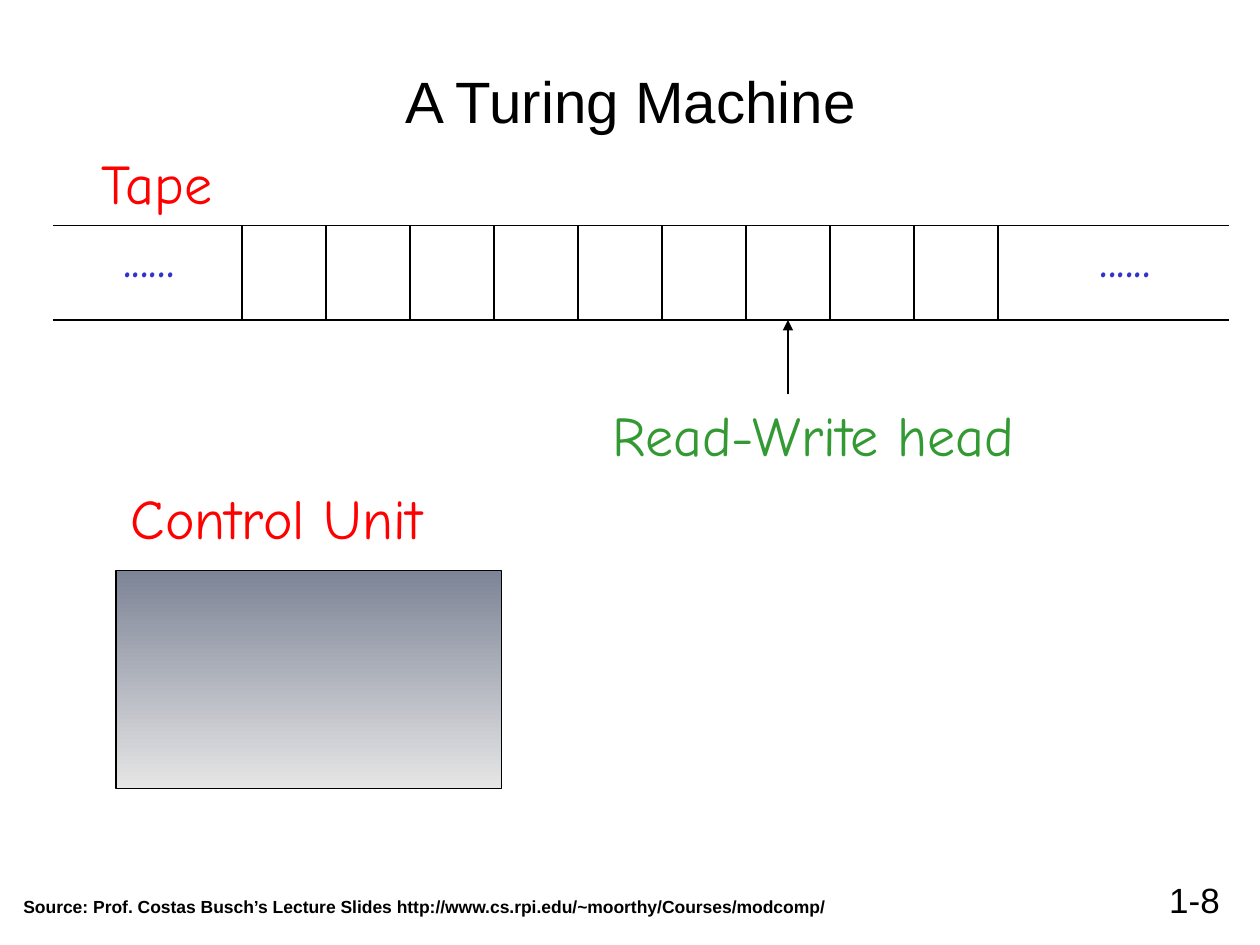
from lxml import etree
from pptx import Presentation, util as u
from pptx.dml.color import RGBColor
from pptx.enum import shapes as sh, text as tx
from pptx.oxml.ns import qn

INK = {"black": "000000", "red": "FF0000", "green": "339933",
       "blue": "3333CC", "top": "7D8496", "base": "E6E6E6"}
SANS, HAND = "Arial", "Comic Neue"
WIDE, HIGH = 10, 7.5


def tint(name):
    return RGBColor.from_string(INK[name])


def place(shape, box):
    shape.left, shape.top, shape.width, shape.height = map(u.Inches, box)


def write(shape, words, size, font, ink, align, bold=False):
    frame = shape.text_frame
    frame.text = words
    para = frame.paragraphs[0]
    para.alignment = align
    face = para.runs[0].font
    face.size, face.name, face.bold = u.Pt(size), font, bold
    face.color.rgb = tint(ink)


def label(slide, box, words, size=32, font=HAND, ink="red",
          align=tx.PP_ALIGN.LEFT, bold=False):
    shape = slide.shapes.add_textbox(*map(u.Inches, box))
    shape.text_frame.word_wrap = False
    write(shape, words, size, font, ink, align, bold)


def rule(slide, x1, y1, x2, y2):
    line = slide.shapes.add_connector(
        sh.MSO_CONNECTOR.STRAIGHT, *map(u.Inches, (x1, y1, x2, y2)))
    line.line.color.rgb = tint("black")
    line.line.width = u.Pt(0.75)
    etree.SubElement(line._element.spPr, qn("a:effectLst"))
    return line


def title(slide, box, words):
    shape = slide.shapes.title
    place(shape, box)
    frame = shape.text_frame
    frame.vertical_anchor = tx.MSO_ANCHOR.MIDDLE
    frame.auto_size = tx.MSO_AUTO_SIZE.NONE
    write(shape, words, 33.3, SANS, "black", tx.PP_ALIGN.CENTER)


def control(slide, box):
    x, y, w, h = box
    unit = slide.shapes.add_shape(sh.MSO_SHAPE.RECTANGLE, *map(u.Inches, box))
    unit.shadow.inherit = False
    unit.fill.gradient()
    unit.fill.gradient_angle = 270
    for stop, name, spot in zip(unit.fill.gradient_stops, ("top", "base"), (0, 1)):
        stop.color.rgb, stop.position = tint(name), spot
    unit.line.color.rgb = tint("black")
    unit.line.width = u.Pt(0.75)
    label(slide, (x + 0.02, y - 0.74, 2.67, 0.64), "Control Unit")


def tape(slide, box, cells=9, lead=1.5, cell=2 / 3, head=6):
    x, y, w, h = box
    # Edges of the tape, then the walls between cells
    for edge in (y, y + h):
        rule(slide, x, edge, x + w, edge)
    for i in range(cells + 1):
        wall = x + lead + i * cell
        rule(slide, wall, y, wall, y + h)
    # The tape goes on at both ends
    for shift in (0.46, 8.21):
        label(slide, (x + shift, y - 0.08, 0.61, 0.64), "......", ink="blue")
    label(slide, (x + 0.29, y - 0.66, 1.12, 0.64), "Tape")
    # Head points at the middle of its cell
    mid = x + lead + (head + 0.5) * cell
    arrow = rule(slide, mid, y + h + 0.59, mid, y + h)
    etree.SubElement(arrow.line._get_or_add_ln(), qn("a:tailEnd"), type="triangle")
    label(slide, (mid - 1.49, y + h + 0.59, 3.42, 0.64),
          "Read-Write head", ink="green")


def footer(slide, box):
    x, y, w, h = box
    label(slide, (x, y + 0.14, 6.57, 0.27),
          "Source: Prof. Costas Busch’s Lecture Slides "
          "http://www.cs.rpi.edu/~moorthy/Courses/modcomp/",
          10, SANS, "black", tx.PP_ALIGN.CENTER, True)
    label(slide, (x + w - 2.58, y, 2.58, h), "1-8",
          20, SANS, "black", tx.PP_ALIGN.RIGHT)


def main():
    deck = Presentation()
    deck.slide_width, deck.slide_height = u.Inches(WIDE), u.Inches(HIGH)
    slide = deck.slides.add_slide(deck.slide_layouts[5])
    title(slide, (0.17, 0.46, 9.67, 0.67), "A Turing Machine")
    control(slide, (0.92, 4.53, 3.06, 1.73))
    tape(slide, (0.42, 1.79, 9.33, 0.75))
    footer(slide, (0.08, 6.92, 9.7, 0.42))
    deck.save("out.pptx")


if __name__ == "__main__":
    main()
